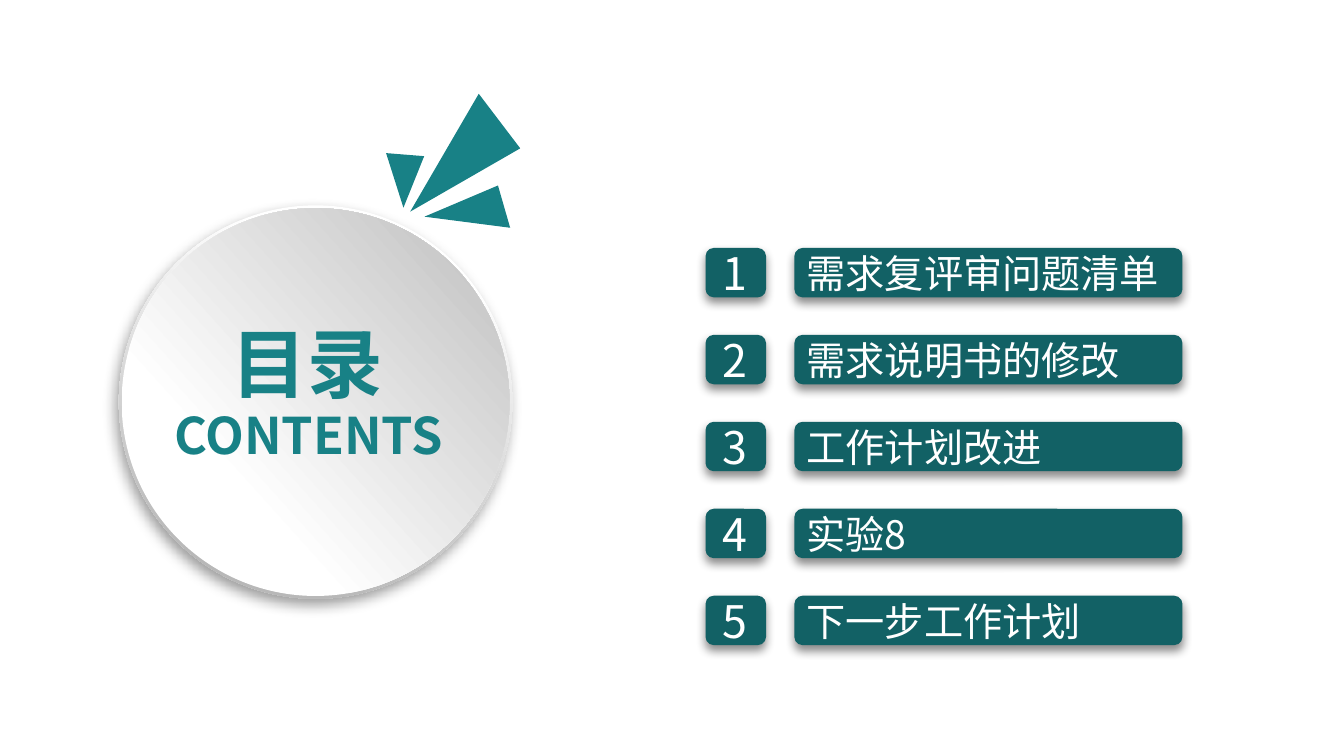
from lxml import etree
from pptx import Presentation
from pptx.dml.color import RGBColor as RGB
from pptx.enum.shapes import MSO_SHAPE as Shape
from pptx.enum.text import MSO_ANCHOR as Anchor, PP_ALIGN as Align
from pptx.oxml.ns import qn
from pptx.util import Pt

FONT = "Noto Sans CJK SC"
COLORS = {"teal": "188186", "deep": "126165", "white": "FFFFFF",
          "rim": "B8B8B8", "disc": "BFBFBF", "shade": "000000"}
TITLES = [  # text, left, top, width, height, size
    ("CONTENTS", 103, 285, 235, 51, 36),
    ("目录", 102, 223, 235, 73, 54),
]
ITEMS = ["需求复评审问题清单", "需求说明书的修改", "工作计划改进", "实验8", "下一步工作计划"]
RAYS = [
    [(293, 151.2), (342, 67), (371.6, 106)],
    [(303.2, 154.8), (355.7, 132.5), (364.4, 162.7)],
    [(288.2, 148.4), (275.8, 109.4), (303, 111.6)],
]
CENTER = (225.4, 287.2)
DISCS = [  # diameter, end color, start and end percent, angle, shadow
    (281, "rim", 17, 88, 253, (39, 10, 5, 123)),
    (277, "disc", 29, 98, 42, None),
]
ROW_TOP, ROW_STEP, ROW_H = 177.1, 62.1, 35.3
NUM_X, NUM_W = 504, 43.2
BAR_X, BAR_W = 567.4, 277.2
BAR_SHADOW = (46, 7, 4, 90)


def rgb(name):
    return RGB.from_string(COLORS[name])


def paint(shape, color):
    shape.shadow.inherit = False
    shape.line.fill.background()
    shape.fill.solid()
    shape.fill.fore_color.rgb = rgb(color)


def cast(shape, alpha, blur, dist, angle):
    """Give the shape an outer shadow."""
    effects = shape._element.spPr.find(qn("a:effectLst"))
    outer = etree.SubElement(
        effects, qn("a:outerShdw"), blurRad=str(Pt(blur)), dist=str(Pt(dist)),
        dir=str(angle * 60000), algn="ctr", rotWithShape="0")
    color = etree.SubElement(outer, qn("a:srgbClr"), val=COLORS["shade"])
    etree.SubElement(color, qn("a:alpha"), val=str(alpha * 1000))


def write(shape, text, size, color, align=Align.LEFT, bold=False, wrap=True):
    frame = shape.text_frame
    frame.word_wrap = wrap
    para = frame.paragraphs[0]
    para.text = text
    para.alignment = align
    font = para.font
    font.name, font.size, font.bold = FONT, Pt(size), bold
    font.color.rgb = rgb(color)
    props = para.runs[0].font._element
    etree.SubElement(props, qn("a:ea"), typeface=FONT)


def add_disc(shapes, size, end, start_at, end_at, angle, shadow):
    x, y = (c - size / 2 for c in CENTER)
    disc = shapes.add_shape(Shape.OVAL, Pt(x), Pt(y), Pt(size), Pt(size))
    paint(disc, "white")
    disc.fill.gradient()
    disc.fill.gradient_angle = angle
    stops = zip(disc.fill.gradient_stops, ("white", end), (start_at, end_at))
    for stop, color, place in stops:
        stop.color.rgb = rgb(color)
        stop.position = place / 100
    if shadow:
        cast(disc, *shadow)


def add_ray(shapes, points):
    first, *rest = [(Pt(x), Pt(y)) for x, y in points]
    pen = shapes.build_freeform(*first)
    pen.add_line_segments(rest, close=True)
    paint(pen.convert_to_shape(), "teal")


def add_bar(shapes, x, y, width):
    bar = shapes.add_shape(Shape.ROUNDED_RECTANGLE, Pt(x), Pt(y), Pt(width), Pt(ROW_H))
    paint(bar, "deep")
    cast(bar, *BAR_SHADOW)
    return bar


def add_item(shapes, index, text):
    y = ROW_TOP + index * ROW_STEP
    add_bar(shapes, NUM_X, y, NUM_W)
    label = shapes.add_textbox(Pt(NUM_X + 5), Pt(y - 5.3), Pt(33), Pt(46))
    write(label, str(index + 1), 32, "white", wrap=False)
    bar = add_bar(shapes, BAR_X, y, BAR_W)
    write(bar, text, 28, "white")
    bar.text_frame.vertical_anchor = Anchor.MIDDLE


def main():
    deck = Presentation()
    deck.slide_width, deck.slide_height = Pt(960), Pt(540)
    shapes = deck.slides.add_slide(deck.slide_layouts[6]).shapes
    for disc in DISCS:
        add_disc(shapes, *disc)
    for ray in RAYS:
        add_ray(shapes, ray)
    for text, x, y, width, height, size in TITLES:
        box = shapes.add_textbox(Pt(x), Pt(y), Pt(width), Pt(height))
        write(box, text, size, "teal", Align.CENTER, bold=True)
    for index, text in enumerate(ITEMS):
        add_item(shapes, index, text)
    deck.save("out.pptx")


if __name__ == "__main__":
    main()
